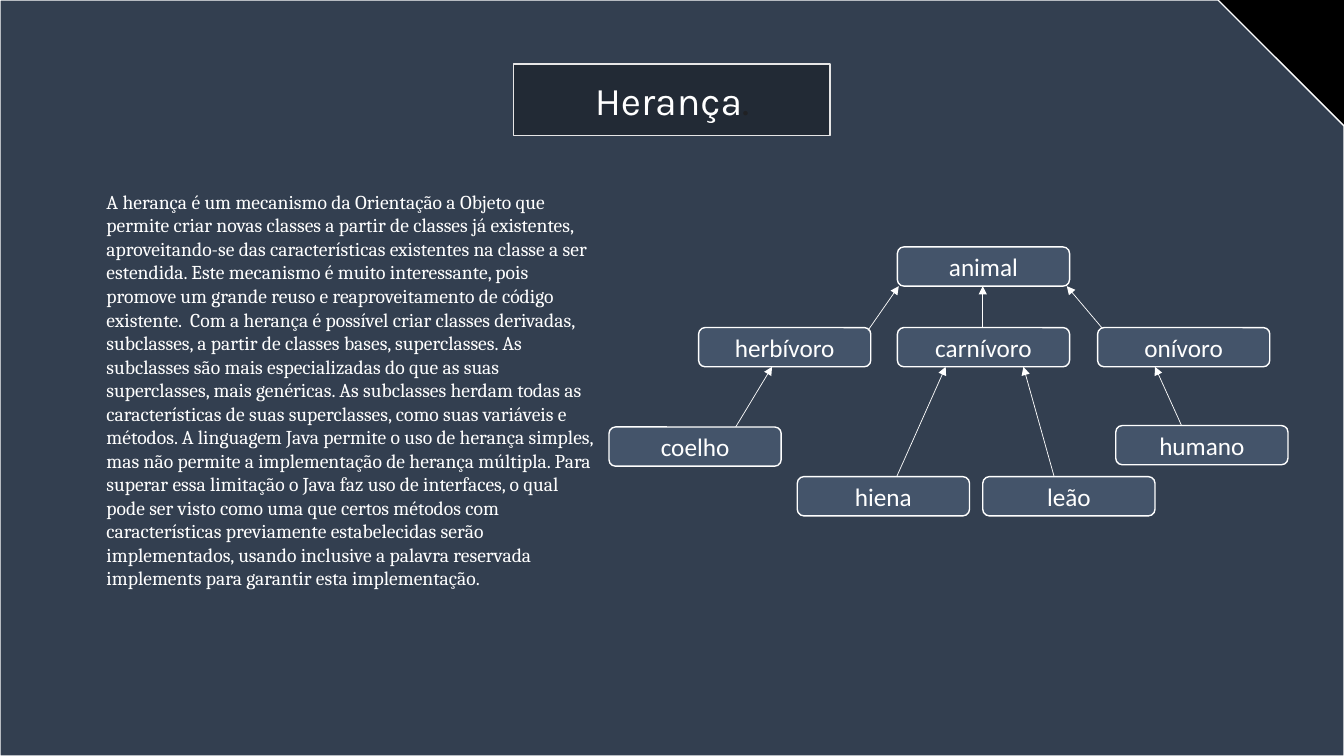
from dataclasses import dataclass

from lxml import etree
from pptx import Presentation
from pptx.dml.color import RGBColor
from pptx.enum.shapes import MSO_CONNECTOR, MSO_SHAPE
from pptx.enum.text import MSO_ANCHOR, MSO_AUTO_SIZE, PP_ALIGN
from pptx.oxml.ns import qn
from pptx.util import Pt

SNIPPED, ROUNDED = MSO_SHAPE.SNIP_1_RECTANGLE, MSO_SHAPE.ROUNDED_RECTANGLE
STRAIGHT = MSO_CONNECTOR.STRAIGHT
MIDDLE, CENTER = MSO_ANCHOR.MIDDLE, PP_ALIGN.CENTER
NO_FIT = MSO_AUTO_SIZE.NONE

# Content
TITLE, TITLE_DOT = "Herança", "."
SENTENCES = [
    "A herança é um mecanismo da Orientação a Objeto que permite criar novas classes "
    "a partir de classes já existentes, aproveitando-se das características existentes "
    "na classe a ser estendida.",
    "Este mecanismo é muito interessante, pois promove um grande reuso e "
    "reaproveitamento de código existente. ",
    "Com a herança é possível criar classes derivadas, subclasses, a partir de classes "
    "bases, superclasses.",
    "As subclasses são mais especializadas do que as suas superclasses, mais genéricas.",
    "As subclasses herdam todas as características de suas superclasses, como suas "
    "variáveis e métodos.",
    "A linguagem Java permite o uso de herança simples, mas não permite a "
    "implementação de herança múltipla.",
    "Para superar essa limitação o Java faz uso de interfaces, o qual pode ser visto "
    "como uma que certos métodos com características previamente estabelecidas serão "
    "implementados, usando inclusive a palavra reservada implements para garantir esta "
    "implementação.",
]
# Class name: left, top
CLASSES = {
    "animal": (641, 176.4),
    "herbívoro": (499, 234),
    "carnívoro": (641, 234),
    "onívoro": (784, 234),
    "coelho": (435, 305),
    "humano": (797, 304),
    "hiena": (569.5, 340.5),
    "leão": (702, 340.5),
}
# Subclass, offset from its top left corner, superclass, offset along its bottom edge
LINKS = [
    ("herbívoro", (121, 2), "animal", 1),
    ("carnívoro", (61, 0), "animal", 61),
    ("onívoro", (3, 0), "animal", 121),
    ("coelho", (90.5, 0), "herbívoro", 52.5),
    ("hiena", (71, 0), "carnívoro", 34.5),
    ("leão", (51, 0), "carnívoro", 90),
    ("humano", (47, 0), "onívoro", 41),
]

# Layout
SLIDE_W, SLIDE_H = 960, 540
TITLE_BOX = (367, 45.8, 226, 51)
BODY_BOX = (69, 132, 366, 330)
CLASS_W, CLASS_H = 123, 28


@dataclass(frozen=True)
class Theme:
    backdrop = RGBColor(0x33, 0x3F, 0x50)
    corner = RGBColor(0, 0, 0)
    title_fill = RGBColor(0x22, 0x2A, 0x35)
    title_line = RGBColor(0xE7, 0xE6, 0xE6)
    dot = RGBColor(0x20, 0x21, 0x24)
    class_fill = RGBColor(0x44, 0x54, 0x6A)
    white = RGBColor(0xFF, 0xFF, 0xFF)
    title_font = ("Karla", 28)
    body_font = ("Cambria", 14)
    class_font = ("Calibri", 18)
    border, arrow = 1, 0.5


def paint(sp, fill, line):
    sp.fill.solid()
    sp.fill.fore_color.rgb = fill
    sp.line.color.rgb = line
    sp.line.width = Pt(Theme.border)


def set_font(p, font):
    p.font.name, p.font.size = font[0], Pt(font[1])
    p.font.color.rgb = Theme.white


def add_box(s, preset, box, fill):
    sp = s.shapes.add_shape(preset, *map(Pt, box))
    sp.shadow.inherit = False
    paint(sp, fill, Theme.white)
    return sp


def add_title(s):
    sp = s.shapes.title
    sp.element.getparent().append(sp.element)  # in front of the backdrop
    sp.left, sp.top, sp.width, sp.height = map(Pt, TITLE_BOX)
    paint(sp, Theme.title_fill, Theme.title_line)
    tf = sp.text_frame
    tf.auto_size, tf.vertical_anchor = NO_FIT, MIDDLE
    p = tf.paragraphs[0]
    p.alignment = CENTER
    set_font(p, Theme.title_font)
    p.add_run().text = TITLE
    r = p.add_run()
    r.text = TITLE_DOT
    r.font.color.rgb = Theme.dot


def add_body(s):
    tf = s.shapes.add_textbox(*map(Pt, BODY_BOX)).text_frame
    tf.word_wrap = True
    p = tf.paragraphs[0]
    p.text = " ".join(SENTENCES)
    set_font(p, Theme.body_font)


def add_class(s, name, left, top):
    sp = add_box(s, ROUNDED, (left, top, CLASS_W, CLASS_H), Theme.class_fill)
    tf = sp.text_frame
    tf.vertical_anchor = MIDDLE
    p = tf.paragraphs[0]
    p.text, p.alignment = name, CENTER
    set_font(p, Theme.class_font)


def add_link(s, child, offset, parent, parent_dx):
    (cx, cy), (px, py) = CLASSES[child], CLASSES[parent]
    ends = (cx + offset[0], cy + offset[1], px + parent_dx, py + CLASS_H)
    link = s.shapes.add_connector(STRAIGHT, *map(Pt, ends))
    link.line.color.rgb = Theme.white
    link.line.width = Pt(Theme.arrow)
    props = link.element.spPr
    etree.SubElement(props.find(qn("a:ln")), qn("a:tailEnd"), type="triangle")
    etree.SubElement(props, qn("a:effectLst"))


def main():
    prs = Presentation()
    prs.slide_width, prs.slide_height = Pt(SLIDE_W), Pt(SLIDE_H)
    s = prs.slides.add_slide(prs.slide_layouts[5])

    # Backdrop with a cut corner
    s.background.fill.solid()
    s.background.fill.fore_color.rgb = Theme.corner
    add_box(s, SNIPPED, (0, 0, SLIDE_W, SLIDE_H), Theme.backdrop)

    # Title and explanation
    add_title(s)
    add_body(s)

    # Class tree
    for name, (left, top) in CLASSES.items():
        add_class(s, name, left, top)
    for link in LINKS:
        add_link(s, *link)

    prs.save("out.pptx")


if __name__ == "__main__":
    main()
